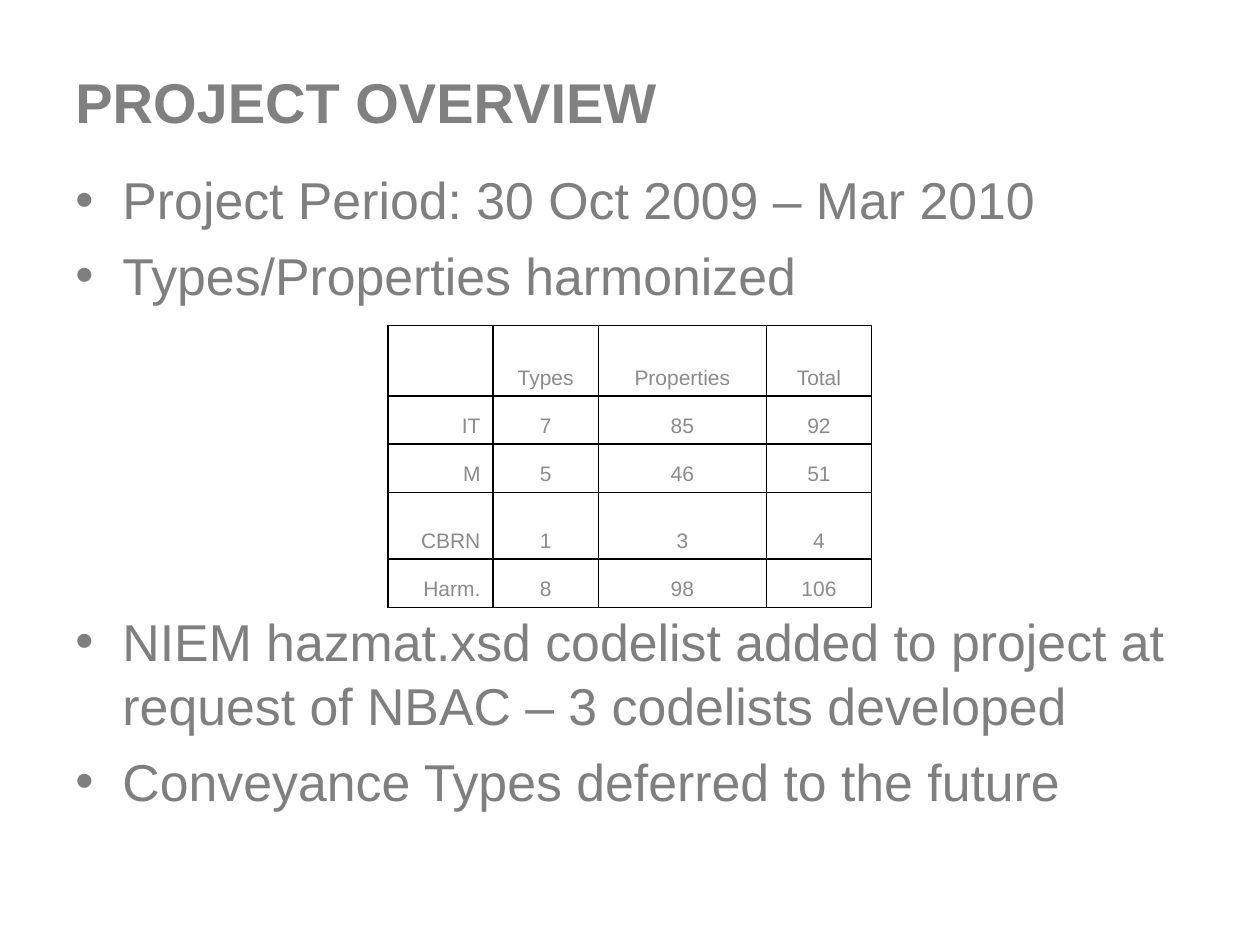
from lxml.etree import SubElement
from pptx import Presentation
from pptx.dml.color import RGBColor
from pptx.enum.text import MSO_ANCHOR as Anchor, PP_ALIGN as Align
from pptx.oxml.ns import qn
from pptx.util import Cm, Pt

FONT = "Arial"
TITLE_GRAY = RGBColor(0x80, 0x80, 0x80)
BODY_GRAY = RGBColor(0x7F, 0x7F, 0x7F)
TABLE_GRAY = RGBColor(0x8B, 0x8B, 0x8B)
BLACK = RGBColor(0, 0, 0)

BULLET_GAP = Pt(6.3)
TABLE_GAP = Pt(172)  # room for the table between the second and third bullets
BULLETS = [
    ("Project Period: 30 Oct 2009 – Mar 2010", Pt(0)),
    ("Types/Properties harmonized", BULLET_GAP),
    ("NIEM hazmat.xsd codelist added to project at request of NBAC"
     " – 3 codelists developed", TABLE_GAP),
    ("Conveyance Types deferred to the future", BULLET_GAP),
]

COUNTS = [
    ("", "Types", "Properties", "Total"),
    ("IT", "7", "85", "92"),
    ("M", "5", "46", "51"),
    ("CBRN", "1", "3", "4"),
    ("Harm.", "8", "98", "106"),
]
COLUMN_WIDTHS = [Cm(2.12), Cm(2.12), Cm(3.39), Cm(2.12)]
ROW_HEIGHTS = [Cm(1.42), Cm(0.97), Cm(0.98), Cm(1.34), Cm(0.98)]


def set_font(paragraph, size, color, bold=False):
    font = paragraph.font
    font.name, font.size, font.bold = FONT, Pt(size), bold
    font.color.rgb = color


def add_text_frame(slide, left, top, width, height):
    frame = slide.shapes.add_textbox(left, top, width, height).text_frame
    frame.word_wrap = True
    return frame


def add_title(slide, text):
    frame = add_text_frame(slide, Cm(1.27), Cm(0.76), Cm(22.86), Cm(2.82))
    frame.vertical_anchor = Anchor.MIDDLE
    paragraph = frame.paragraphs[0]
    paragraph.text = text
    paragraph.line_spacing = 0.8
    set_font(paragraph, 32, TITLE_GRAY, bold=True)


def set_bullet(paragraph):
    properties = paragraph._p.get_or_add_pPr()
    properties.set("marL", str(Cm(0.95)))
    properties.set("indent", str(-Cm(0.95)))
    SubElement(properties, qn("a:buFont"), typeface=FONT)
    SubElement(properties, qn("a:buChar"), char="•")


def add_bullets(slide, bullets):
    frame = add_text_frame(slide, Cm(1.27), Cm(3.18), Cm(22.86), Cm(13.84))
    frame.margin_top = Cm(0.16)
    for index, (text, gap) in enumerate(bullets):
        paragraph = frame.add_paragraph() if index else frame.paragraphs[0]
        paragraph.text = text
        set_bullet(paragraph)
        paragraph.line_spacing = 1.04
        paragraph.space_before = gap
        set_font(paragraph, 29.6, BODY_GRAY)


def set_borders(cell):
    properties = cell._tc.get_or_add_tcPr()
    for side in ("lnL", "lnR", "lnT", "lnB"):
        line = SubElement(properties, qn(f"a:{side}"), w=str(Pt(1)))
        fill = SubElement(line, qn("a:solidFill"))
        SubElement(fill, qn("a:srgbClr"), val=str(BLACK))


def fill_cell(cell, text, alignment):
    set_borders(cell)
    cell.fill.background()
    cell.vertical_anchor = Anchor.BOTTOM
    paragraph = cell.text_frame.paragraphs[0]
    paragraph.text = text
    paragraph.alignment = alignment
    set_font(paragraph, 12, TABLE_GRAY)


def add_count_table(slide, rows):
    table = slide.shapes.add_table(
        len(rows), len(rows[0]), Cm(7.82), Cm(6.56),
        sum(COLUMN_WIDTHS), sum(ROW_HEIGHTS)).table
    table.first_row = table.horz_banding = False
    for column, width in zip(table.columns, COLUMN_WIDTHS):
        column.width = width
    for row, height, texts in zip(table.rows, ROW_HEIGHTS, rows):
        row.height = height
        for index, (cell, text) in enumerate(zip(row.cells, texts)):
            fill_cell(cell, text, Align.CENTER if index else Align.RIGHT)


def main():
    presentation = Presentation()
    presentation.slide_width, presentation.slide_height = Cm(25.4), Cm(19.05)
    slide = presentation.slides.add_slide(presentation.slide_layouts[6])
    add_title(slide, "PROJECT OVERVIEW")
    add_bullets(slide, BULLETS)
    add_count_table(slide, COUNTS)
    presentation.save("out.pptx")


if __name__ == "__main__":
    main()
